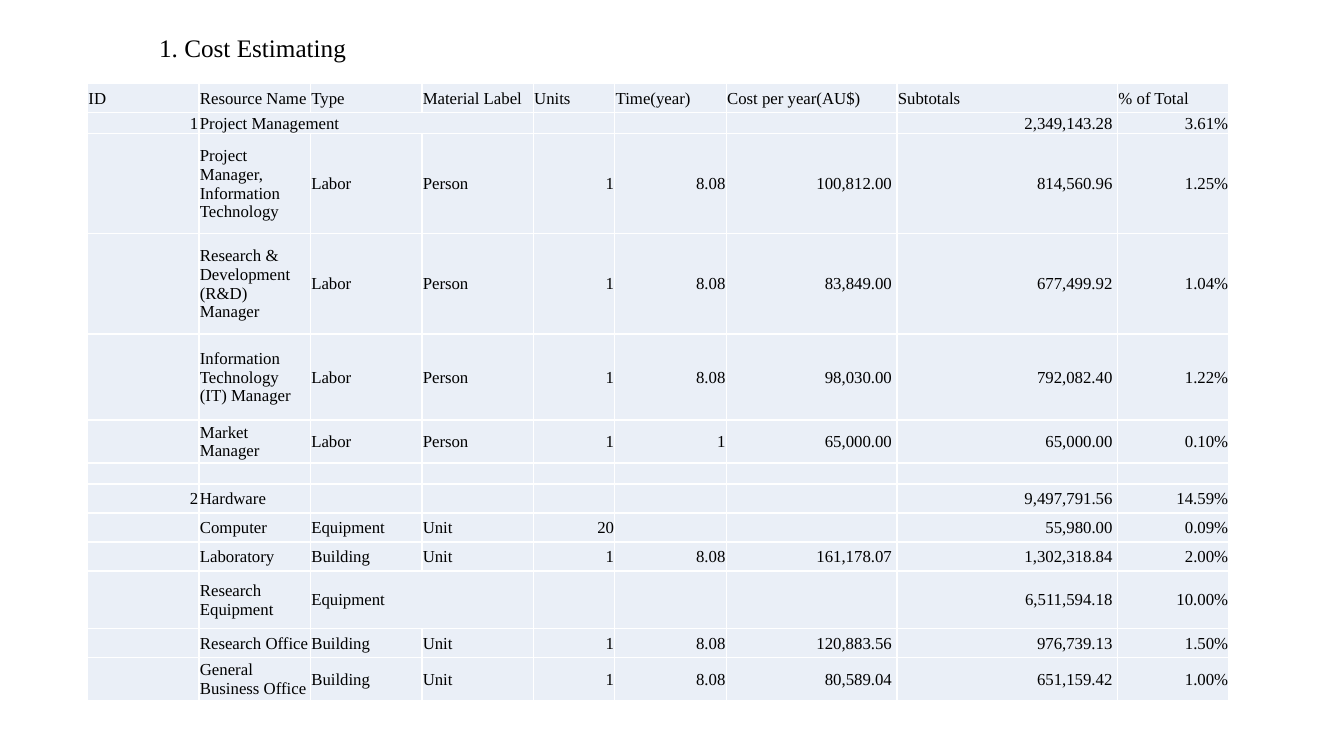
"""Build the cost estimating slide with its resource cost table."""
import lxml.etree
import pptx
import pptx.dml.color
import pptx.enum.text
import pptx.oxml.ns
import pptx.util

Pt = pptx.util.Pt
qn = pptx.oxml.ns.qn
RIGHT = pptx.enum.text.PP_ALIGN.RIGHT
LEFT = pptx.enum.text.PP_ALIGN.LEFT

BLACK = pptx.dml.color.RGBColor(0x00, 0x00, 0x00)
PALE_BLUE = pptx.dml.color.RGBColor(0xEA, 0xEF, 0xF7)
WHITE = pptx.dml.color.RGBColor(0xFF, 0xFF, 0xFF)
FONT = "Times New Roman"

HEADING = "1. Cost Estimating"
COLUMNS = [
    ("ID", 79.6, "{}", RIGHT),
    ("Resource Name", 79.6, "{}", LEFT),
    ("Type", 79.6, "{}", LEFT),
    ("Material Label", 79.6, "{}", LEFT),
    ("Units", 58.2, "{}", RIGHT),
    ("Time(year)", 79.6, "{}", RIGHT),
    ("Cost per year(AU$)", 122, "{:,.2f} ", RIGHT),
    ("Subtotals", 157.6, "{:,.2f} ", RIGHT),
    ("% of Total", 79.6, "{:.2f}%", RIGHT),
]
NO = None
COSTS = [
    (14.6, (1, "Project Management", NO, NO, NO, NO, NO, 2349143.28, 3.61)),
    (71.6, (NO, "Project Manager, Information Technology", "Labor", "Person", 1, 8.08, 100812, 814560.96, 1.25)),
    (71.6, (NO, "Research & Development (R&D) Manager", "Labor", "Person", 1, 8.08, 83849, 677499.92, 1.04)),
    (61.4, (NO, "Information Technology (IT) Manager", "Labor", "Person", 1, 8.08, 98030, 792082.4, 1.22)),
    (30.8, (NO, "Market Manager", "Labor", "Person", 1, 1, 65000, 65000, 0.1)),
    (14.6, (NO,) * len(COLUMNS)),
    (20.7, (2, "Hardware", NO, NO, NO, NO, NO, 9497791.56, 14.59)),
    (20.7, (NO, "Computer", "Equipment", "Unit", 20, NO, NO, 55980, 0.09)),
    (20.7, (NO, "Laboratory", "Building", "Unit", 1, 8.08, 161178.07, 1302318.84, 2)),
    (41.2, (NO, "Research Equipment", "Equipment", NO, NO, NO, NO, 6511594.18, 10)),
    (20.7, (NO, "Research Office", "Building", "Unit", 1, 8.08, 120883.56, 976739.13, 1.5)),
    (30.8, (NO, "General Business Office", "Building", "Unit", 1, 8.08, 80589.04, 651159.42, 1)),
]
HEADER_HEIGHT = 20.6
MERGES = [((1, 1), (1, 3)), ((10, 2), (10, 3))]
CELL_FORMAT = {
    "vertical_anchor": pptx.enum.text.MSO_ANCHOR.MIDDLE,
    "margin_left": Pt(0.6),
    "margin_right": Pt(0.6),
    "margin_top": Pt(0.6),
    "margin_bottom": Pt(0),
}


def write(paragraph, wording, size):
    run = paragraph.add_run()
    run.text = wording
    for attribute, value in {"name": FONT, "size": Pt(size)}.items():
        setattr(run.font, attribute, value)
    run.font.color.rgb = BLACK


def add_borders(cell):
    properties = cell._tc.get_or_add_tcPr()
    for side in ("lnL", "lnR", "lnT", "lnB"):
        border = lxml.etree.SubElement(properties, qn("a:" + side), w=str(Pt(1)))
        paint = lxml.etree.SubElement(border, qn("a:solidFill"))
        lxml.etree.SubElement(paint, qn("a:srgbClr"), val=str(WHITE))


def fill_cell(cell, wording, alignment):
    add_borders(cell)
    cell.fill.solid()
    cell.fill.fore_color.rgb = PALE_BLUE
    for attribute, value in CELL_FORMAT.items():
        setattr(cell, attribute, value)
    paragraph = cell.text_frame.paragraphs[0]
    paragraph.alignment = alignment
    if wording:
        write(paragraph, wording, 12)
    else:
        lxml.etree.SubElement(paragraph._p, qn("a:endParaRPr"), sz="1200")


deck = pptx.Presentation()
deck.slide_width, deck.slide_height = Pt(960), Pt(540)
slide = deck.slides.add_slide(deck.slide_layouts[6])

heading = slide.shapes.add_textbox(Pt(106.6), Pt(19.4), Pt(149), Pt(29)).text_frame
heading.word_wrap = False
heading.auto_size = pptx.enum.text.MSO_AUTO_SIZE.SHAPE_TO_FIT_TEXT
write(heading.paragraphs[0], HEADING, 18)

heights = [HEADER_HEIGHT] + [height for height, _ in COSTS]
total_width = sum(width for _, width, _, _ in COLUMNS)
cost_table = slide.shapes.add_table(
    len(heights), len(COLUMNS), Pt(62.6), Pt(59.8), Pt(total_width), Pt(sum(heights))
).table
cost_table.first_row = cost_table.horz_banding = False

for row, height in zip(cost_table.rows, heights):
    row.height = Pt(height)
for column, (label, width, pattern, alignment) in enumerate(COLUMNS):
    cost_table.columns[column].width = Pt(width)
    fill_cell(cost_table.cell(0, column), label, LEFT)
    for row, (_, values) in enumerate(COSTS, 1):
        value = values[column]
        wording = "" if value is NO else pattern.format(value)
        fill_cell(cost_table.cell(row, column), wording, alignment)
for first, last in MERGES:
    cost_table.cell(*first).merge(cost_table.cell(*last))

deck.save("out.pptx")
